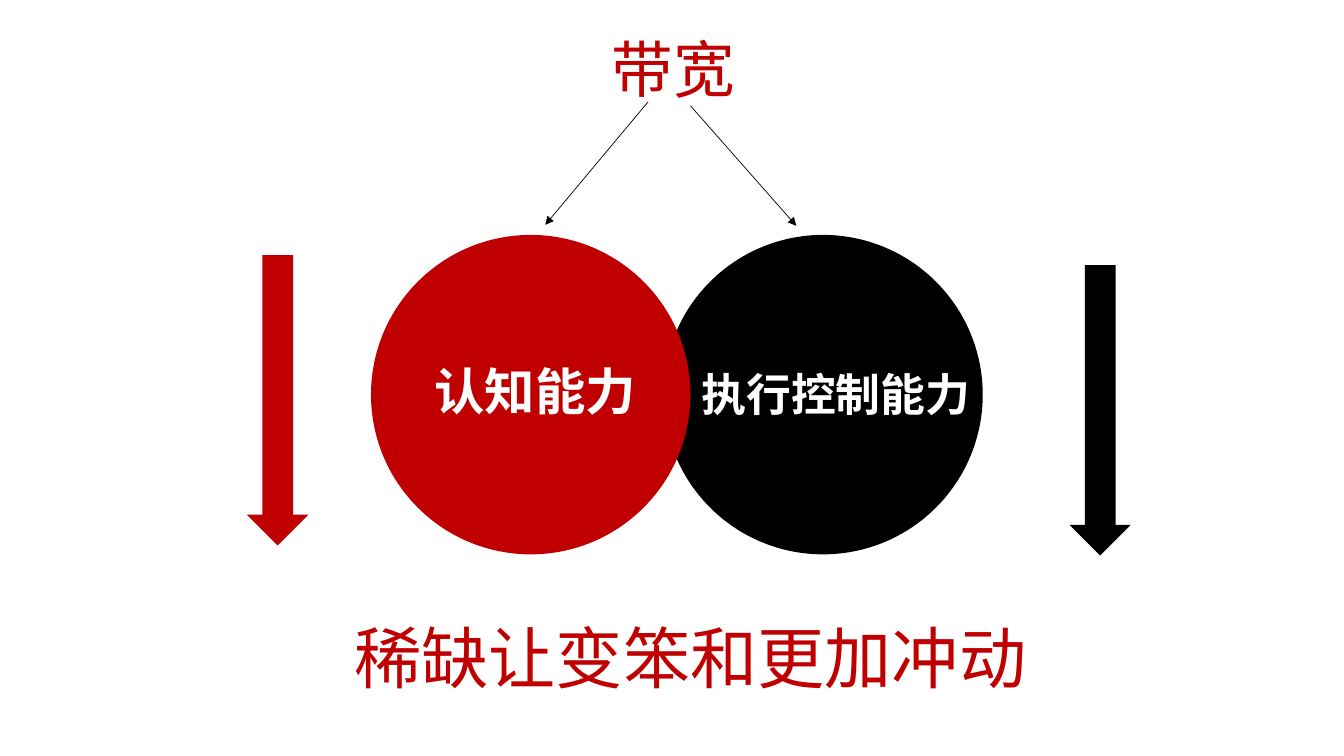
"""Build the slide on how scarcity narrows mental bandwidth."""
from lxml.etree import SubElement
from pptx import Presentation
from pptx.dml.color import RGBColor
from pptx.enum.shapes import MSO_CONNECTOR as Connector, MSO_SHAPE as Shape
from pptx.enum.text import MSO_ANCHOR as Anchor, MSO_AUTO_SIZE as AutoSize, PP_ALIGN as Align
from pptx.oxml.ns import qn
from pptx.util import Pt

RED = RGBColor(0xC0, 0x00, 0x00)
BLACK = RGBColor(0x00, 0x00, 0x00)
WHITE = RGBColor(0xFF, 0xFF, 0xFF)
FONT = "Noto Sans CJK SC"
CIRCLE_SIZE = 228.2
CIRCLE_TOP = 167.8


def place(shape, left, top, width, height):
    shape.left, shape.top = Pt(left), Pt(top)
    shape.width, shape.height = Pt(width), Pt(height)


def write(shape, text, size, color, bold=False, wrap=False):
    frame = shape.text_frame
    frame.word_wrap = wrap
    frame.auto_size = AutoSize.SHAPE_TO_FIT_TEXT
    frame.vertical_anchor = Anchor.TOP
    paragraph = frame.paragraphs[0]
    paragraph.text = text
    paragraph.alignment = Align.CENTER
    paragraph.line_spacing = 1.0
    paragraph.space_before = Pt(0)
    font = paragraph.font
    font.size, font.bold, font.name = Pt(size), bold, FONT
    font.color.rgb = color
    properties = paragraph.runs[0].font._element
    SubElement(properties, qn("a:ea"), typeface=FONT)


def add_text(shapes, box, text, size, color, **options):
    textbox = shapes.add_textbox(*map(Pt, box))
    write(textbox, text, size, color, **options)


def add_solid(shapes, kind, box, color):
    shape = shapes.add_shape(kind, *map(Pt, box))
    shape.shadow.inherit = False
    shape.fill.solid()
    shape.fill.fore_color.rgb = color
    shape.line.fill.background()


def add_ability(slide, left, color, label_box, label, size):
    group = slide.shapes.add_group_shape()
    circle_box = (left, CIRCLE_TOP, CIRCLE_SIZE, CIRCLE_SIZE)
    add_solid(group.shapes, Shape.OVAL, circle_box, color)
    add_text(group.shapes, label_box, label, size, WHITE, bold=True)


def add_arrow_line(slide, start, end):
    connector = slide.shapes.add_connector(Connector.STRAIGHT, *map(Pt, start + end))
    connector.line.color.rgb = BLACK
    connector.line.width = Pt(0.5)
    SubElement(connector.line._get_or_add_ln(), qn("a:tailEnd"), type="triangle")
    SubElement(connector._element.spPr, qn("a:effectLst"))


def main():
    presentation = Presentation()
    presentation.slide_width, presentation.slide_height = Pt(960), Pt(540)
    slide = presentation.slides.add_slide(presentation.slide_layouts[5])

    title = slide.shapes.title
    place(title, 429.1, 18.7, 103.7, 60.5)
    write(title, "带宽", 44, RED)

    add_ability(slide, 473.8, BLACK, (493.2, 258.5, 208.1, 46.1), "执行控制能力", 32)
    add_ability(slide, 265, RED, (302.4, 253.4, 159.8, 51.1), "认知能力", 36)
    add_text(slide.shapes, (235.4, 437, 515.5, 65.5), "稀缺让变笨和更加冲动", 48, RED, wrap=True)

    for left, top, color in ((176.4, 182.2, RED), (763.9, 189.4, BLACK)):
        add_solid(slide.shapes, Shape.DOWN_ARROW, (left, top, 43.9, 207.4), color)

    add_arrow_line(slide, (463, 72.7), (389.5, 160.6))
    add_arrow_line(slide, (493.2, 75.6), (568.8, 161.3))
    presentation.save("out.pptx")


if __name__ == "__main__":
    main()
